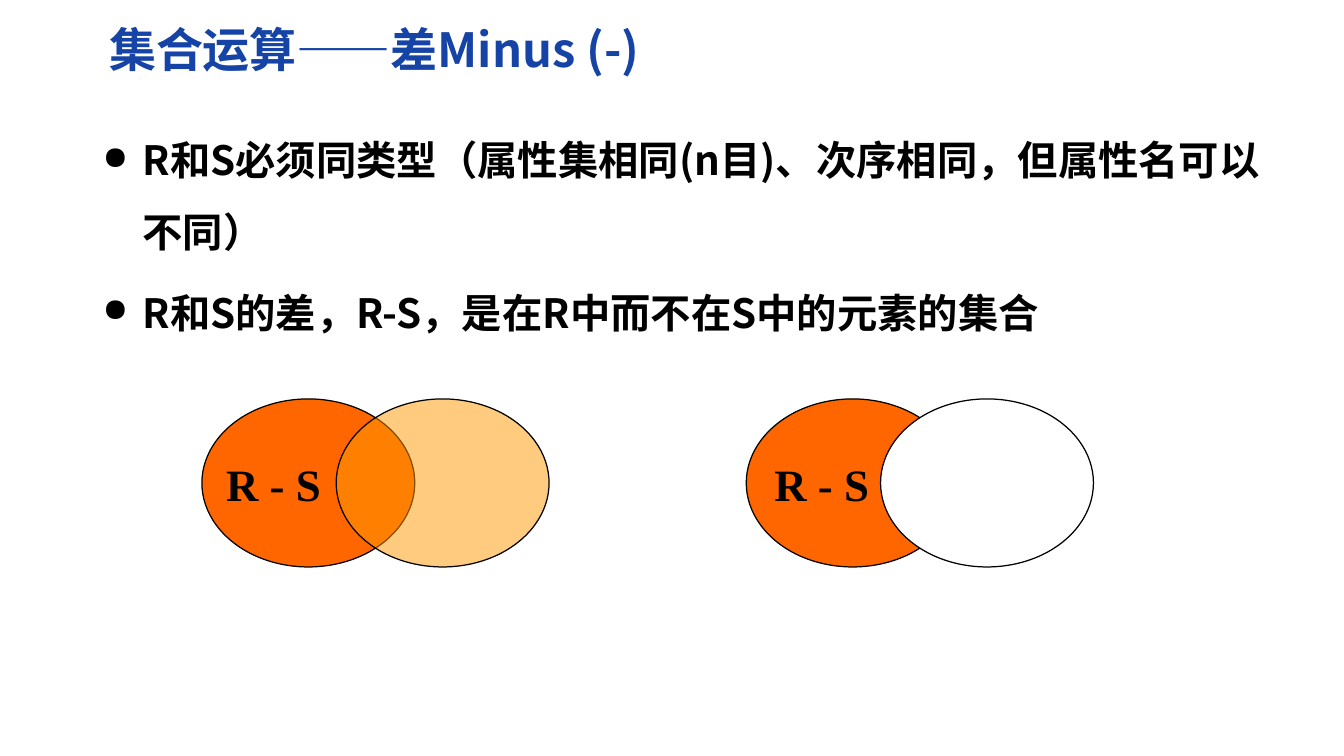
from lxml.etree import SubElement as Sub
from pptx import Presentation
from pptx.dml.color import RGBColor
from pptx.enum.shapes import MSO_SHAPE as Shape
from pptx.enum.text import MSO_ANCHOR as Anchor, MSO_AUTO_SIZE as Fit, PP_ALIGN as Align
from pptx.oxml.ns import qn
from pptx.util import Cm, Pt

BLACK = RGBColor(0, 0, 0)
WHITE = RGBColor(255, 255, 255)
BLUE = RGBColor(0x15, 0x43, 0xA6)
RED = RGBColor(0xFF, 0x66, 0x00)
AMBER = RGBColor(0xFF, 0x99, 0x00)
SANS = "Noto Sans CJK SC"
SERIF = "Times New Roman"
ITEMS = [
    "R和S必须同类型（属性集相同(n目)、次序相同，但属性名可以不同）",
    "R和S的差，R-S，是在R中而不在S中的元素的集合",
]


def place(item, box):
    item.left, item.top, item.width, item.height = [Cm(n) for n in box]


def style(para, face, size, color):
    for run in para.runs:
        font = run.font
        font.name, font.size, font.bold = face, Pt(size), True
        font.color.rgb = color
        Sub(run._r.rPr, qn("a:ea"), typeface=face)


def add_title(slide, box):
    title = slide.shapes.title
    place(title, box)
    frame = title.text_frame
    frame.text = "集合运算——差Minus (-)"
    frame.auto_size = Fit.NONE
    frame.vertical_anchor = Anchor.MIDDLE
    frame.margin_left = frame.margin_right = Cm(0.28)
    frame.margin_top = frame.margin_bottom = Cm(0.15)
    para = frame.paragraphs[0]
    para.alignment = Align.LEFT
    style(para, SANS, 28, BLUE)


def add_list(slide, box):
    body = slide.placeholders[1]
    place(body, box)
    frame = body.text_frame
    frame.text = "\n".join(ITEMS)
    frame.auto_size = Fit.NONE
    for i, para in enumerate(frame.paragraphs):
        props = para._p.get_or_add_pPr()
        props.set("marL", str(Cm(0.84)))
        props.set("indent", str(-Cm(0.84)))
        Sub(props, qn("a:buSzPct"), val="80000")
        Sub(props, qn("a:buFont"), typeface="OpenSymbol")
        Sub(props, qn("a:buChar"), char="●")
        para.line_spacing = Pt(43)
        para.space_before = Pt(5 if i else 0)
        style(para, SANS, 24, BLACK)


def add_oval(slide, box, color, alpha=100):
    oval = slide.shapes.add_shape(Shape.OVAL, *[Cm(n) for n in box])
    oval.shadow.inherit = False
    oval.fill.solid()
    oval.fill.fore_color.rgb = color
    oval.line.color.rgb = BLACK
    oval.line.width = Pt(0.75)
    if alpha < 100:
        tint = oval._element.spPr.find(".//" + qn("a:srgbClr"))
        Sub(tint, qn("a:alpha"), val=str(alpha * 1000))


def add_venn(slide, box, color, alpha, inset):
    left, top, width, high = box
    wide = 4.47
    add_oval(slide, (left, top, wide, high), RED)
    add_oval(slide, (left + width - wide, top, wide, high), color, alpha)
    label = slide.shapes.add_textbox(Cm(left + inset), Cm(top + 1.07), Cm(2.51), Cm(1.4))
    frame = label.text_frame
    frame.text = "R - S"
    frame.word_wrap = False
    frame.auto_size = Fit.SHAPE_TO_FIT_TEXT
    frame.vertical_anchor = Anchor.MIDDLE
    para = frame.paragraphs[0]
    para.alignment = Align.CENTER
    style(para, SERIF, 26.7, BLACK)


def main():
    deck = Presentation()
    deck.slide_width, deck.slide_height = Cm(28.22), Cm(15.88)
    slide = deck.slides.add_slide(deck.slide_layouts[1])
    add_title(slide, (2.01, 0.3, 24.92, 1.45))
    add_list(slide, (1.9, 2.21, 24.99, 11.99))
    add_venn(slide, (4.24, 8.38, 7.29, 3.53), AMBER, 50, 0.25)
    add_venn(slide, (15.67, 8.38, 7.29, 3.53), WHITE, 100, 0.33)
    deck.save("out.pptx")


if __name__ == "__main__":
    main()
